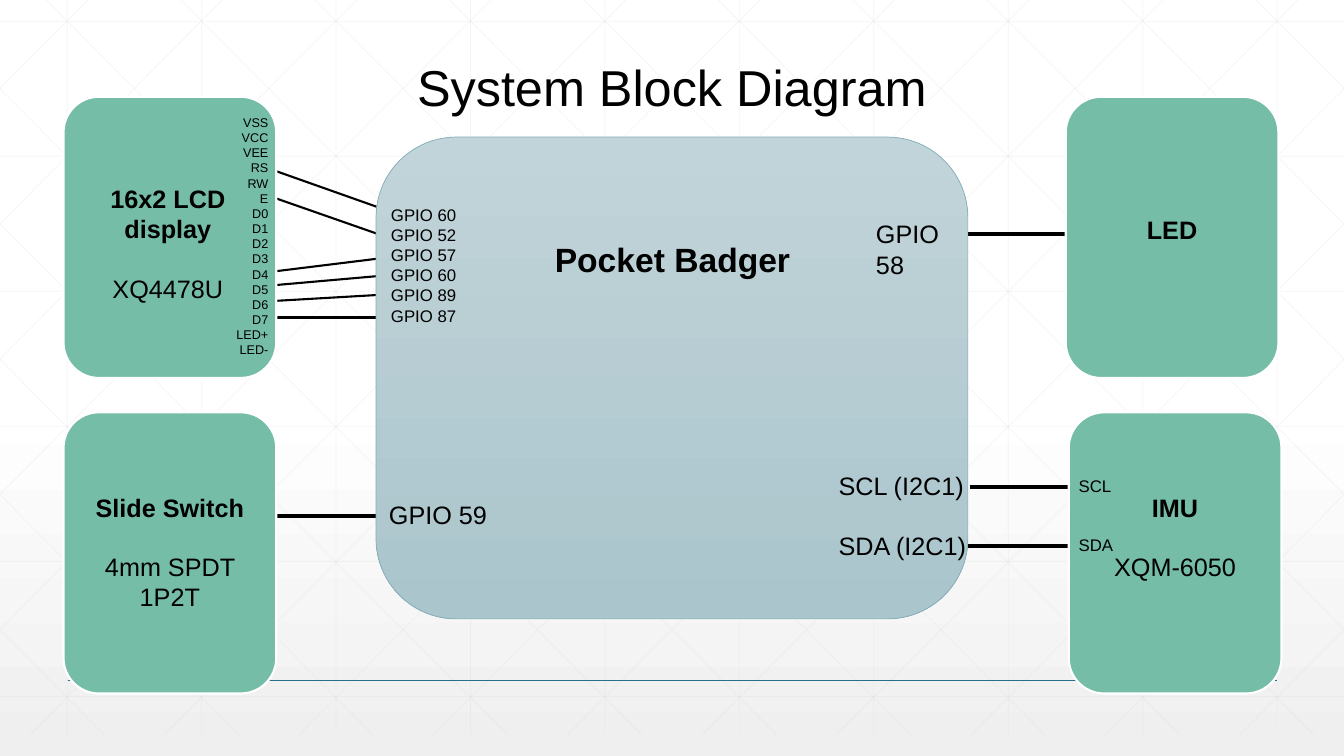
from pptx import Presentation
from pptx.dml.color import RGBColor
from pptx.enum.shapes import MSO_CONNECTOR, MSO_SHAPE
from pptx.enum.text import PP_ALIGN
from pptx.oxml.ns import qn
from pptx.util import Inches, Pt
from lxml.etree import SubElement

COLORS = {
    "text": "000000", "wire": "000000", "grid": "D9D9D9", "rule": "276F8B",
    "bg_top": "FFFFFF", "bg_bottom": "EFEFEF",
    "board_top": "C1D4D9", "board_bottom": "AAC5CC", "board_line": "84ACB6",
    "part": "75BDA7", "part_line": "FFFFFF",
}
WIDTH, HEIGHT = 13.33, 7.5
GRID_TOP, GRID_BOTTOM = -0.21, 7.29
DIAGONAL_RUN = 7.45
LEFT, CENTER, RIGHT = PP_ALIGN.LEFT, PP_ALIGN.CENTER, PP_ALIGN.RIGHT
LCD_PINS = ["VSS", "VCC", "VEE", "RS", "RW", "E", "D0", "D1", "D2", "D3",
            "D4", "D5", "D6", "D7", "LED+", "LED-"]
GPIO_PINS = ["GPIO 60", "GPIO 52", "GPIO 57", "GPIO 60", "GPIO 89", "GPIO 87"]
WIRES = [  # x1, y1, x2, y2, width
    (2.49, 1.61, 3.93, 2.12, 1.5),
    (2.4, 1.85, 3.83, 2.35, 1.5),
    (2.58, 2.71, 3.96, 2.54, 1.5),
    (2.6, 2.84, 4.19, 2.7, 1.5),
    (2.47, 3, 4.03, 2.91, 1.5),
    (2.7, 3.15, 4.23, 3.15, 1.5),
    (2.4, 5.12, 3.94, 5.12, 3),
    (9.43, 2.32, 10.96, 2.32, 3),
    (9.62, 4.83, 11.16, 4.83, 3),
    (9.51, 5.42, 11.04, 5.42, 3),
]


def rgb(name):
    return RGBColor.from_string(COLORS[name])


def set_gradient(fill, top, bottom, start=0):
    """Fill from top to bottom, with the first colour held until start."""
    fill.gradient()
    fill.gradient_angle = 270
    for stop, name, position in zip(fill.gradient_stops, (top, bottom), (start, 1)):
        stop.color.rgb = rgb(name)
        stop.position = position


def add_line(s, x1, y1, x2, y2, color, width, opacity=None):
    line = s.shapes.add_connector(
        MSO_CONNECTOR.STRAIGHT, Inches(x1), Inches(y1), Inches(x2), Inches(y2))
    line.line.color.rgb = rgb(color)
    line.line.width = Pt(width)
    sp_pr = line._element.spPr
    SubElement(sp_pr, qn("a:effectLst"))
    if opacity:
        clr = sp_pr.find(".//" + qn("a:srgbClr"))
        SubElement(clr, qn("a:alpha")).set("val", str(opacity * 1000))


def add_grid(s):
    def grid_line(*ends):
        add_line(s, *ends, "grid", 0.5, opacity=25)

    step = 4 / 3
    for i in range(10):
        x = step * (i + 0.5)
        grid_line(x, GRID_TOP, x, GRID_BOTTOM)
    for i in range(6):
        y = 0.21 + 1.34 * i
        grid_line(0, y, WIDTH, y)
    slope = (GRID_BOTTOM - GRID_TOP) / DIAGONAL_RUN
    for i in range(-5, 10):
        start = 0.25 + step * i
        x1, x2 = max(start, 0), min(start + DIAGONAL_RUN, WIDTH)
        y1, y2 = (GRID_TOP + (x - start) * slope for x in (x1, x2))
        grid_line(x1, y1, x2, y2)
        grid_line(WIDTH - x1, y1, WIDTH - x2, y2)


def add_box(s, x, y, w, h, line, width):
    box = s.shapes.add_shape(
        MSO_SHAPE.ROUNDED_RECTANGLE, Inches(x), Inches(y), Inches(w), Inches(h))
    box.shadow.inherit = False
    box.line.color.rgb = rgb(line)
    box.line.width = Pt(width)
    return box


def add_part(s, x, y):
    box = add_box(s, x, y, 2.11, 2.79, "part_line", 1.5)
    box.fill.solid()
    box.fill.fore_color.rgb = rgb("part")


def add_text(s, x, y, w, h, lines, size, align=LEFT, bold_first=False, gap=0):
    """Write one paragraph a line, with gap points between them."""
    tf = s.shapes.add_textbox(Inches(x), Inches(y), Inches(w), Inches(h)).text_frame
    tf.word_wrap = True
    tf.text = "\n".join(lines)
    for i, p in enumerate(tf.paragraphs):
        p.alignment = align
        if i:
            p.space_before = Pt(gap)
        font = p.runs[0].font
        font.name = "Arial"
        font.size = Pt(size)
        font.bold = bold_first and i == 0
        font.color.rgb = rgb("text")


def add_part_label(s, x, y, h, *lines):
    add_text(s, x, y, 1.77, h, lines, 18, CENTER, bold_first=True, gap=20.7)


def main():
    prs = Presentation()
    prs.slide_width, prs.slide_height = Inches(WIDTH), Inches(HEIGHT)
    s = prs.slides.add_slide(prs.slide_layouts[6])
    set_gradient(s.background.fill, "bg_top", "bg_bottom", start=0.53)
    add_grid(s)
    add_line(s, 0.67, 6.75, 12.67, 6.75, "rule", 1)
    for *ends, width in WIRES:
        add_line(s, *ends, "wire", width)

    board = add_box(s, 3.73, 1.36, 5.87, 4.78, "board_line", 0.5)
    set_gradient(board.fill, "board_top", "board_bottom")
    for x, y in [(0.63, 0.96), (0.63, 4.09), (10.6, 4.09), (10.57, 0.96)]:
        add_part(s, x, y)

    add_text(s, 3.73, 0.51, 5.87, 0.71, ["System Block Diagram"], 36, CENTER)
    add_text(s, 4.91, 2.32, 3.52, 0.5, ["Pocket Badger"], 24, CENTER, bold_first=True)
    add_part_label(s, 0.78, 1.77, 1.31, "16x2 LCD display", "XQ4478U")
    add_part_label(s, 0.8, 4.83, 1.31, "Slide Switch", "4mm SPDT 1P2T")
    add_part_label(s, 10.77, 4.83, 1.01, "IMU", "XQM-6050")
    add_part_label(s, 10.74, 2.08, 0.71, "LED")

    add_text(s, 1.83, 1.09, 0.93, 2.52, LCD_PINS, 9, RIGHT)
    add_text(s, 3.78, 1.98, 0.97, 1.31, GPIO_PINS, 12)
    add_text(s, 3.76, 4.9, 1.2, 0.4, ["GPIO 59"], 18)
    add_text(s, 8.59, 2.12, 1.03, 0.4, ["GPIO 58"], 18)
    add_text(s, 8.22, 4.62, 1.47, 1.01, ["SCL (I2C1)", "SDA (I2C1)"], 18, gap=20.7)
    add_text(s, 10.6, 4.67, 1.47, 0.91, ["SCL", "SDA"], 12, gap=27.6)
    prs.save("out.pptx")


if __name__ == "__main__":
    main()
